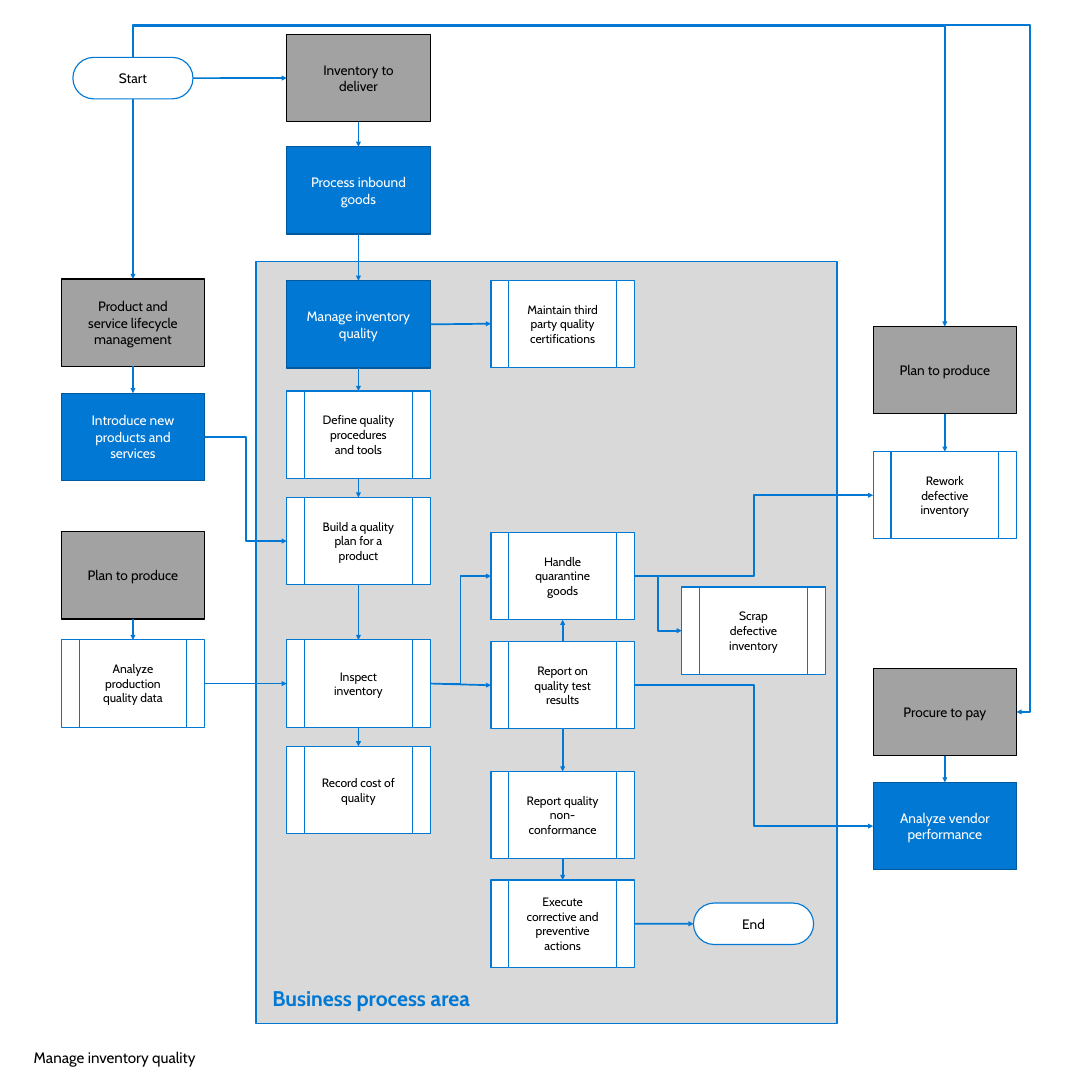
"""Build the inventory quality process flowchart slide."""
from dataclasses import dataclass

from lxml import etree
from pptx import Presentation
from pptx.dml.color import RGBColor
from pptx.enum.shapes import MSO_CONNECTOR, MSO_SHAPE
from pptx.enum.text import MSO_ANCHOR, MSO_AUTO_SIZE, PP_ALIGN
from pptx.oxml.ns import qn
from pptx.util import Cm, Pt

STRAIGHT, ELBOW = MSO_CONNECTOR.STRAIGHT, MSO_CONNECTOR.ELBOW
RECTANGLE, ROUNDED = MSO_SHAPE.RECTANGLE, MSO_SHAPE.ROUNDED_RECTANGLE
PROCESS = MSO_SHAPE.FLOWCHART_PREDEFINED_PROCESS
TOP, MIDDLE, BOTTOM = MSO_ANCHOR.TOP, MSO_ANCHOR.MIDDLE, MSO_ANCHOR.BOTTOM
LEFT, CENTER = PP_ALIGN.LEFT, PP_ALIGN.CENTER
NO_AUTOFIT = MSO_AUTO_SIZE.NONE
TOP_SIDE, LEFT_SIDE, BOTTOM_SIDE, RIGHT_SIDE = range(4)


@dataclass(frozen=True)
class Theme:
    font: str = "Cabin"
    blue: str = "0078D4"
    dark_blue: str = "00599D"
    gray: str = "A2A2A2"
    panel: str = "D9D9D9"
    white: str = "FFFFFF"
    black: str = "000000"
    heading_size: int = 28
    title_size: int = 20
    stage_size: int = 18
    step_size: int = 16
    outline: float = 1.5
    arrow: float = 2.25


theme = Theme()


def write_text(shape, text, size, color, alignment, anchor, bold=False):
    frame = shape.text_frame
    frame.text = text
    frame.vertical_anchor = anchor
    frame.margin_left = frame.margin_right = Cm(0.76)
    frame.margin_top = frame.margin_bottom = Cm(0.61)
    paragraph = frame.paragraphs[0]
    paragraph.alignment = alignment
    font = paragraph.runs[0].font
    font.name, font.size, font.bold = theme.font, Pt(size), bold
    font.color.rgb = RGBColor.from_string(color)


def add_box(geometry, left, top, width, height, fill, line):
    shape = slide.shapes.add_shape(geometry, Cm(left), Cm(top), Cm(width), Cm(height))
    shape.shadow.inherit = False
    shape.fill.solid()
    shape.fill.fore_color.rgb = RGBColor.from_string(fill)
    shape.line.color.rgb = RGBColor.from_string(line)
    shape.line.width = Pt(theme.outline)
    return shape


presentation = Presentation()
presentation.slide_width = presentation.slide_height = Cm(50.8)
slide = presentation.slides.add_slide(presentation.slide_layouts[5])

title = slide.shapes.title
title.left, title.top, title.width, title.height = Cm(1.57), Cm(48.79), Cm(8.03), Cm(0.86)
write_text(title, "Manage inventory quality", theme.title_size, theme.black, LEFT, TOP)
title_frame = title.text_frame
title_frame.auto_size = NO_AUTOFIT
title_frame.word_wrap = False
title_frame.margin_left = title_frame.margin_right = 0
title_frame.margin_top = title_frame.margin_bottom = 0

panel = add_box(RECTANGLE, 11.91, 12.17, 27.03, 35.46, theme.panel, theme.blue)
write_text(panel, "Business process area", theme.heading_size, theme.blue, LEFT, BOTTOM, True)

BOX_WIDTH, BOX_HEIGHT = 6.67, 4.06
TERMINAL_WIDTH, TERMINAL_HEIGHT = 5.59, 1.93
COLUMNS = (2.85, 13.34, 22.84, 31.72, 40.62)

kinds = {
    "terminal": (ROUNDED, theme.white, theme.blue, theme.black, theme.stage_size),
    "external": (RECTANGLE, theme.gray, theme.black, theme.black, theme.stage_size),
    "stage": (RECTANGLE, theme.blue, theme.dark_blue, theme.white, theme.stage_size),
    "step": (PROCESS, theme.white, theme.blue, theme.black, theme.step_size),
}
nodes = {
    "start": ("terminal", 0, 2.67, "Start"),
    "lifecycle": ("external", 0, 12.98, "Product and service lifecycle management"),
    "introduce": ("stage", 0, 18.29, "Introduce new products and services"),
    "plan left": ("external", 0, 24.74, "Plan to produce"),
    "analyze": ("step", 0, 29.77, "Analyze production quality data"),
    "deliver": ("external", 1, 1.6, "Inventory to deliver"),
    "inbound": ("stage", 1, 6.83, "Process inbound goods"),
    "manage": ("stage", 1, 13.06, "Manage inventory quality"),
    "define": ("step", 1, 18.19, "Define quality procedures and tools"),
    "build": ("step", 1, 23.14, "Build a quality plan for a product"),
    "inspect": ("step", 1, 29.77, "Inspect inventory"),
    "cost": ("step", 1, 34.72, "Record cost of quality"),
    "maintain": ("step", 2, 13.03, "Maintain third party quality certifications"),
    "quarantine": ("step", 2, 24.77, "Handle quarantine goods"),
    "results": ("step", 2, 29.85, "Report on quality test results"),
    "report": ("step", 2, 35.89, "Report quality non-conformance"),
    "execute": ("step", 2, 40.94, "Execute corrective and preventive actions"),
    "scrap": ("step", 3, 27.31, "Scrap defective inventory"),
    "end": ("terminal", 3, 42.01, "End"),
    "plan right": ("external", 4, 15.19, "Plan to produce"),
    "rework": ("step", 4, 21.01, "Rework defective inventory"),
    "procure": ("external", 4, 31.09, "Procure to pay"),
    "vendor": ("stage", 4, 36.4, "Analyze vendor performance"),
}
boxes = {}
for name, (kind, column, top, text) in nodes.items():
    geometry, fill, line, color, size = kinds[kind]
    width, height = BOX_WIDTH, BOX_HEIGHT
    if kind == "terminal":
        width, height = TERMINAL_WIDTH, TERMINAL_HEIGHT
    left = COLUMNS[column] + (BOX_WIDTH - width) / 2
    box = add_box(geometry, left, top, width, height, fill, line)
    if kind == "terminal":
        box.adjustments[0] = 0.5
    write_text(box, text, size, color, CENTER, MIDDLE)
    boxes[name] = box

down_chains = (
    ("start", "lifecycle", "introduce"),
    ("plan left", "analyze"),
    ("deliver", "inbound", "manage", "define", "build", "inspect", "cost"),
    ("results", "report", "execute"),
    ("plan right", "rework"),
    ("procure", "vendor"),
)
across = {
    STRAIGHT: (("start", "deliver"), ("manage", "maintain"), ("analyze", "inspect"),
               ("inspect", "results"), ("execute", "end")),
    ELBOW: (("introduce", "build"), ("inspect", "quarantine"), ("quarantine", "rework"),
            ("quarantine", "scrap"), ("results", "vendor")),
}
links = [(STRAIGHT, begin, BOTTOM_SIDE, end, TOP_SIDE)
         for chain in down_chains for begin, end in zip(chain, chain[1:])]
links += [(style, begin, RIGHT_SIDE, end, LEFT_SIDE)
          for style, pairs in across.items() for begin, end in pairs]
links += [
    (STRAIGHT, "results", TOP_SIDE, "quarantine", BOTTOM_SIDE),
    (ELBOW, "start", TOP_SIDE, "plan right", TOP_SIDE),
    (ELBOW, "start", TOP_SIDE, "procure", RIGHT_SIDE),
]
detours = {"plan right": (1.47, 0), "procure": (1.52, 0.63)}

for style, begin, begin_side, end, end_side in links:
    connector = slide.shapes.add_connector(style, 0, 0, 0, 0)
    connector.begin_connect(boxes[begin], begin_side)
    connector.end_connect(boxes[end], end_side)
    connector.line.color.rgb = RGBColor.from_string(theme.blue)
    connector.line.width = Pt(theme.arrow)
    properties = connector.element.spPr
    etree.SubElement(properties.find(qn("a:ln")), qn("a:tailEnd"), type="triangle")
    etree.SubElement(properties, qn("a:effectLst"))

    if end in detours and begin == "start":
        rise, overshoot = detours[end]
        across_length, down_length = connector.width, connector.height
        shift = (across_length - down_length) // 2
        connector.left, connector.top = connector.left + shift, connector.top - shift
        connector.width, connector.height = down_length, across_length
        transform = properties.find(qn("a:xfrm"))
        transform.set("rot", "16200000")
        transform.set("flipH", "1")
        ratios = [-Cm(rise) / down_length]
        if overshoot:
            ratios.append(1 + Cm(overshoot) / across_length)
        preset = properties.find(qn("a:prstGeom"))
        preset.set("prst", f"bentConnector{len(ratios) + 2}")
        guides = preset.find(qn("a:avLst"))
        for number, ratio in enumerate(ratios, 1):
            etree.SubElement(guides, qn("a:gd"), name=f"adj{number}",
                             fmla=f"val {round(ratio * 100000)}")

presentation.save("out.pptx")
